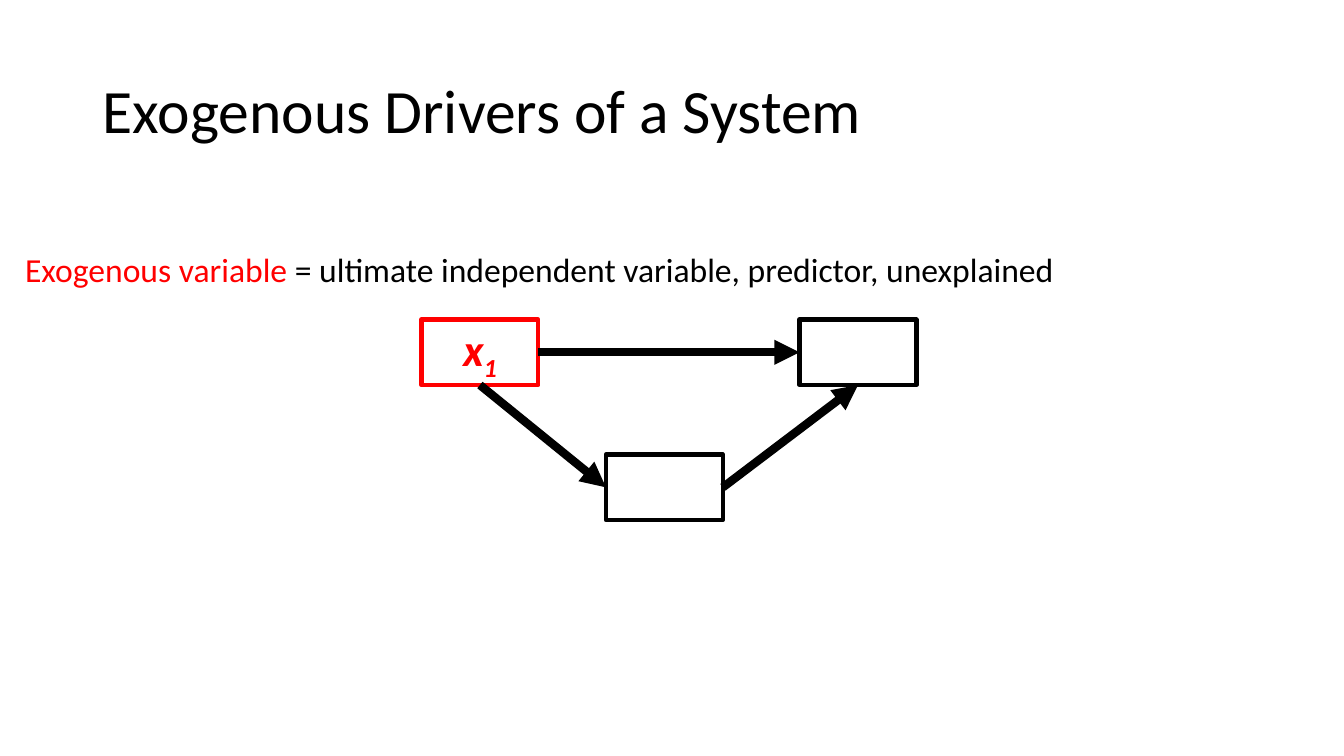
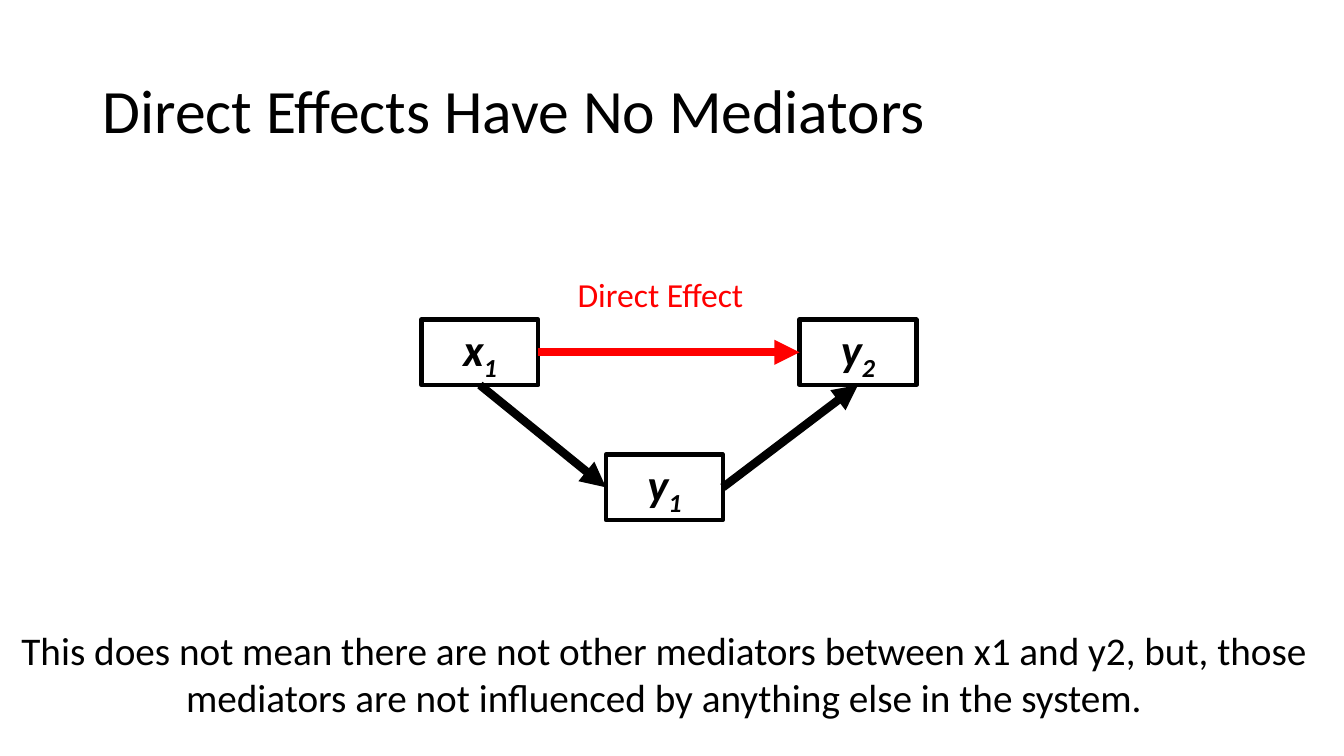
from pptx import Presentation
from pptx.dml.color import RGBColor
from pptx.enum.shapes import MSO_CONNECTOR, MSO_SHAPE
from pptx.enum.text import MSO_ANCHOR, PP_ALIGN
from pptx.oxml.ns import qn
from pptx.util import Inches, Pt
from lxml import etree

RECT = MSO_SHAPE.RECTANGLE
STRAIGHT = MSO_CONNECTOR.STRAIGHT
TOP, MIDDLE = MSO_ANCHOR.TOP, MSO_ANCHOR.MIDDLE
LEFT, CENTER = PP_ALIGN.LEFT, PP_ALIGN.CENTER
SIDE_LEFT, SIDE_BOTTOM, SIDE_RIGHT = 1, 2, 3

FONT = "Calibri"
BLACK, RED = "000000", "FF0000"

# Path diagram: left and top of each box, shared size
BOX_W, BOX_H = 1.16, 0.65
X1_AT, Y1_AT, Y2_AT = (4.18, 3.17), (6.01, 4.51), (7.93, 3.17)


def rgb(color):
    return RGBColor.from_string(color)


def set_font(font, size, color):
    font.name, font.size = FONT, Pt(size)
    font.color.rgb = rgb(color)


def add_text(s, at, runs, size, align=LEFT, anchor=TOP):
    """Text box with one paragraph; runs are (text, color) pairs."""
    tf = s.shapes.add_textbox(*map(Inches, at)).text_frame
    tf.word_wrap = True
    tf.vertical_anchor = anchor
    p = tf.paragraphs[0]
    p.alignment = align
    set_font(p.font, size, runs[0][1])
    for text, color in runs:
        r = p.add_run()
        r.text = text
        set_font(r.font, size, color)
    return p


def add_title(s, text):
    p = add_text(s, (0.92, 0.4, 11.5, 1.45), [(text, BLACK)], 44, anchor=MIDDLE)
    p.line_spacing = 0.9


def add_variable(s, at, name="", color=BLACK):
    """Outlined box; the name is a letter followed by its subscript."""
    sp = s.shapes.add_shape(RECT, *map(Inches, (*at, BOX_W, BOX_H)))
    sp.shadow.inherit = False
    sp.fill.background()
    sp.line.color.rgb = rgb(color)
    sp.line.width = Pt(3)
    if name:
        tf = sp.text_frame
        tf.vertical_anchor = MIDDLE
        p = tf.paragraphs[0]
        p.alignment = CENTER
        set_font(p.font, 32, color)
        p.font.bold = p.font.italic = True
        for text in name:
            r = p.add_run()
            r.text = text
            set_font(r.font, 32, color)
            r.font.bold = r.font.italic = True
        r._r.get_or_add_rPr().set("baseline", "-25000")
    return sp


def add_arrow(s, start, start_side, end, end_side, color=BLACK):
    c = s.shapes.add_connector(STRAIGHT, 0, 0, 0, 0)
    c.begin_connect(start, start_side)
    c.end_connect(end, end_side)
    c.line.color.rgb = rgb(color)
    c.line.width = Pt(6)
    etree.SubElement(c.line._get_or_add_ln(), qn("a:tailEnd"), type="triangle")
    etree.SubElement(c._element.spPr, qn("a:effectLst"))


def add_path_diagram(s, names, x1_color=BLACK, direct_color=BLACK):
    x1_name, y1_name, y2_name = names
    x1 = add_variable(s, X1_AT, x1_name, x1_color)
    y1 = add_variable(s, Y1_AT, y1_name)
    y2 = add_variable(s, Y2_AT, y2_name)
    add_arrow(s, x1, SIDE_BOTTOM, y1, SIDE_LEFT)
    add_arrow(s, y1, SIDE_RIGHT, y2, SIDE_BOTTOM)
    add_arrow(s, x1, SIDE_RIGHT, y2, SIDE_LEFT, direct_color)


def add_exogenous_slide(s):
    add_title(s, "Exogenous Drivers of a System")
    add_text(s, (0.15, 2.42, 11.71, 0.5),
             [("Exogenous variable ", RED),
              ("= ultimate independent variable, predictor, unexplained", BLACK)], 24)
    add_path_diagram(s, ("x1", "", ""), x1_color=RED)


def add_direct_effect_slide(s):
    add_title(s, "Direct Effects Have No Mediators")
    add_path_diagram(s, ("x1", "y1", "y2"), direct_color=RED)
    add_text(s, (5.63, 2.67, 2.08, 0.5), [("Direct Effect", RED)], 24)
    add_text(s, (0, 6.16, 13.17, 1.04),
             [("This does not mean there are not other mediators between x1 and y2, "
               "but, those mediators are not influenced by anything else in the system.",
               BLACK)], 28, CENTER)


def main():
    prs = Presentation()
    prs.slide_width, prs.slide_height = Inches(13.33), Inches(7.5)
    blank = prs.slide_layouts[6]
    for build in (add_exogenous_slide, add_direct_effect_slide):
        build(prs.slides.add_slide(blank))
    prs.save("out.pptx")


if __name__ == "__main__":
    main()
